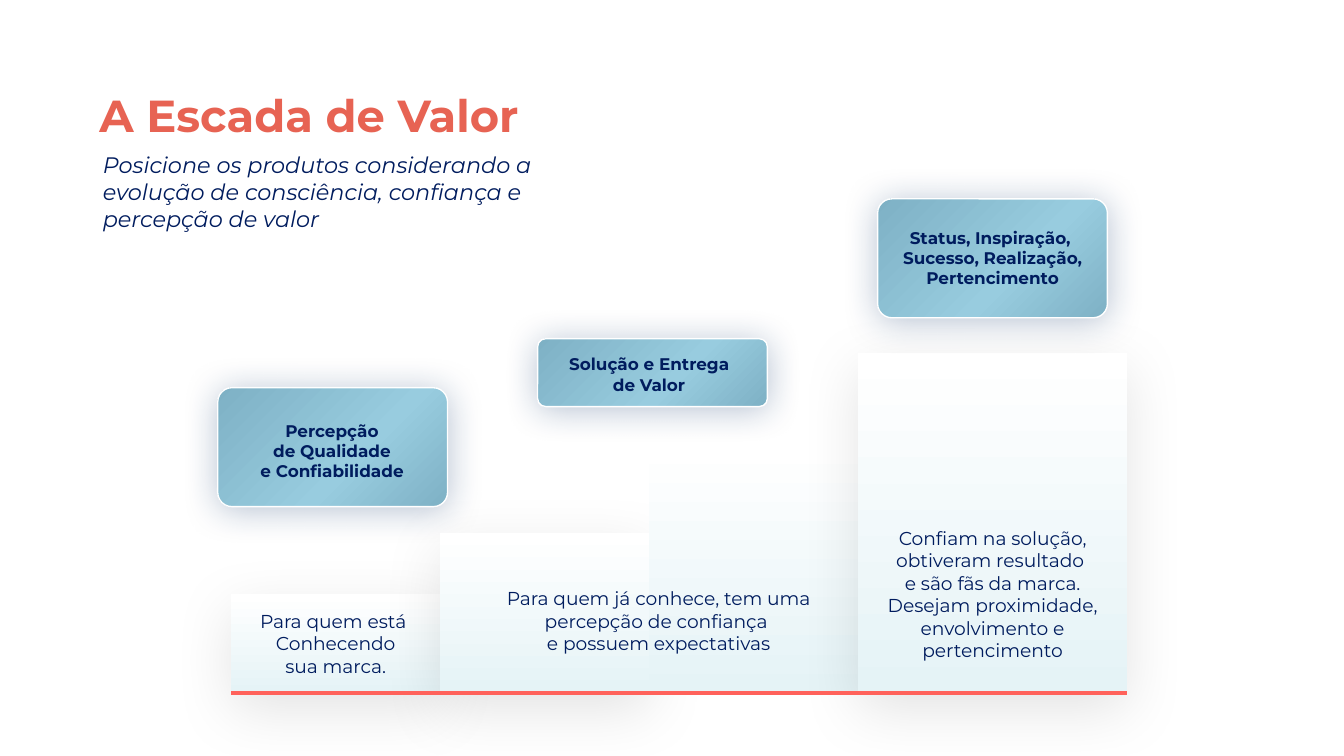
from lxml import etree
from pptx import Presentation
from pptx.dml.color import RGBColor
from pptx.enum.shapes import MSO_CONNECTOR, MSO_SHAPE
from pptx.enum.text import MSO_ANCHOR, MSO_AUTO_SIZE, PP_ALIGN
from pptx.oxml import parse_xml
from pptx.oxml.ns import qn
from pptx.util import Pt

RECT, ROUND = MSO_SHAPE.RECTANGLE, MSO_SHAPE.ROUNDED_RECTANGLE
LINE = MSO_CONNECTOR.STRAIGHT
LEFT, CENTER = PP_ALIGN.LEFT, PP_ALIGN.CENTER
TOP, MIDDLE = MSO_ANCHOR.TOP, MSO_ANCHOR.MIDDLE
FIXED = MSO_AUTO_SIZE.NONE

SCALE = 4572
FONT = "Montserrat"
NAVY, CORAL, RED, WHITE = "001C5E", "E76353", "FF625B", "FFFFFF"
BLUE = [(0, "7EB1C5"), (40, "98CCDF"), (100, "7EB1C5")]
PALE = [(0, WHITE), (100, "E5F3F6")]
GLOW = ("163A6F", 31, 19.1, 1.5)
SHADE = ("000000", 11, 32.6, 9)
NS = 'xmlns:a="http://schemas.openxmlformats.org/drawingml/2006/main"'


def px(*sizes):
    return [size * SCALE for size in sizes]


def color(code):
    return RGBColor.from_string(code)


def write(shape, lines, size, tint=NAVY, bold=False, italic=False,
          align=CENTER, anchor=TOP, inset=10):
    frame = shape.text_frame
    frame.word_wrap = True
    frame.auto_size = FIXED
    frame.vertical_anchor = anchor
    frame.margin_left = frame.margin_right = inset * SCALE
    frame.margin_top = frame.margin_bottom = inset * SCALE
    for i, line in enumerate(lines):
        para = frame.add_paragraph() if i else frame.paragraphs[0]
        para.text = line
        para.alignment = align
        font = para.font
        font.name, font.size = FONT, Pt(size)
        font.bold, font.italic = bold, italic
        font.color.rgb = color(tint)


def label(slide, box, lines, size, **style):
    write(slide.shapes.add_textbox(*px(*box)), lines, size, **style)


def panel(slide, kind, box, stops, angle, shadow=None):
    shape = slide.shapes.add_shape(kind, *px(*box))
    shape.shadow.inherit = False
    shape.line.fill.background()
    marks = "".join(
        f'<a:gs pos="{pos * 1000}"><a:srgbClr val="{code}"/></a:gs>'
        for pos, code in stops)
    props = shape._element.spPr
    props.find(qn("a:prstGeom")).addnext(parse_xml(
        f'<a:gradFill {NS} rotWithShape="1"><a:gsLst>{marks}</a:gsLst>'
        f'<a:lin ang="{angle * 60000}" scaled="0"/></a:gradFill>'))
    if shadow:
        code, alpha, blur, dist = shadow
        props.find(qn("a:effectLst")).append(parse_xml(
            f'<a:outerShdw {NS} blurRad="{Pt(blur)}" dist="{Pt(dist)}" '
            f'dir="5400000" algn="t" rotWithShape="0"><a:srgbClr val="{code}">'
            f'<a:alpha val="{alpha * 1000}"/></a:srgbClr></a:outerShdw>'))
    return shape


def head(slide, box):
    x, y, w, h = box
    title = slide.shapes.title
    title.left, title.top, title.width, title.height = px(x + 5, y, w - 5, 80)
    write(title, ["A Escada de Valor"], 24, CORAL, bold=True,
          align=LEFT, inset=0)
    label(slide, (x, y + 85, 662, h - 85),
          ["Posicione os produtos considerando a evolução de consciência, "
           "confiança e percepção de valor"], 12, italic=True, align=LEFT)


def card(slide, box, lines, inner):
    x, y, w, h = box
    dx, dy, tw, th = inner
    shape = panel(slide, ROUND, box, BLUE, 225, GLOW)
    shape.adjustments[0] = 0.12
    shape.line.color.rgb = color(WHITE)
    shape.line.width = Pt(0.75)
    label(slide, (x + dx, y + dy, tw, th), lines, 9, bold=True)


def stairs(slide, box):
    x, y, w, h = box
    base = y + h
    left = x + 20
    card(slide, (x, y + 281, 342, 177),
         ["Percepção\nde Qualidade", "e Confiabilidade"], (22, 39, 296, 112))
    edge = left
    steps = []
    for wide, tall, shadow in [(311, 147, SHADE), (311, 238, SHADE),
                               (311, 369, None), (400, 506, SHADE)]:
        place = (edge, base - tall, wide, tall)
        steps.append(panel(slide, RECT, place, PALE, 90, shadow))
        edge += wide
    write(steps[0], ["Para quem está \nConhecendo\nsua marca."], 10,
          anchor=MIDDLE)
    card(slide, (x + 476, y + 208, 342, 101),
         ["Solução e Entrega\nde Valor"], (2, 13, 328, 80))
    card(slide, (x + 982, y, 342, 177),
         ["Status, Inspiração, \nSucesso, Realização, Pertencimento"],
         (7, 33, 328, 112))
    label(slide, (x + 412, base - 167, 488, 122),
          ["Para quem já conhece, tem uma percepção de confiança \n"
           "e possuem expectativas"], 10)
    label(slide, (x + 982, base - 257, 342, 222),
          ["Confiam na solução, obtiveram resultado \ne são fãs da marca. "
           "Desejam proximidade, envolvimento e pertencimento"], 10)
    floor = slide.shapes.add_connector(LINE, *px(left, base, edge, base))
    floor.line.color.rgb = color(RED)
    floor.line.width = Pt(2.25)
    etree.SubElement(floor._element.spPr, qn("a:effectLst"))


def main():
    deck = Presentation()
    deck.slide_width, deck.slide_height = px(2000, 1125)
    slide = deck.slides.add_slide(deck.slide_layouts[5])
    head(slide, (143, 130, 805, 227))
    stairs(slide, (324, 296, 1353, 735))
    deck.save("out.pptx")


if __name__ == "__main__":
    main()
